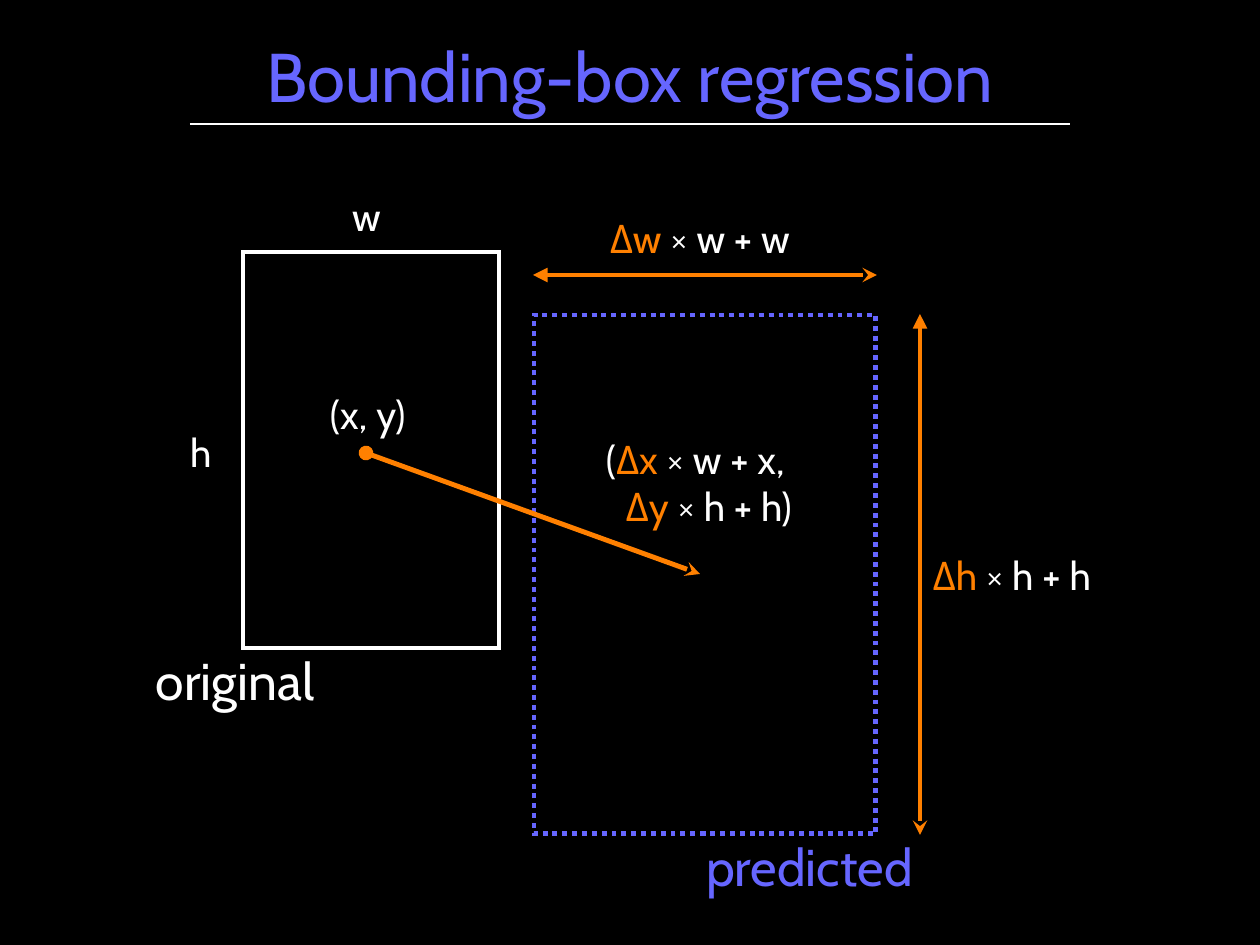
from pptx import Presentation
from pptx.dml.color import RGBColor
from pptx.enum.dml import MSO_LINE
from pptx.enum.shapes import MSO_CONNECTOR, MSO_SHAPE
from pptx.enum.text import MSO_ANCHOR, PP_ALIGN
from pptx.oxml.ns import qn
from pptx.util import Pt
from lxml import etree

PX = 10320  # EMU per px
WIDTH, HEIGHT = 1260, 945
BLACK = RGBColor(0, 0, 0)
WHITE = RGBColor(255, 255, 255)
VIOLET = RGBColor(0x66, 0x66, 0xFF)
ORANGE = RGBColor(0xFF, 0x80, 0)
FONT = "Cabin"


def emu(*lengths):
    return [length * PX for length in lengths]


def label(s, box, lines, size=32, align=PP_ALIGN.LEFT, indents=(0, 0)):
    """Each line is a list of (text, colour) runs."""
    tf = s.shapes.add_textbox(*emu(*box)).text_frame
    tf.word_wrap = True
    tf.vertical_anchor = MSO_ANCHOR.MIDDLE
    tf.margin_left = tf.margin_right = tf.margin_top = tf.margin_bottom = 0
    for i, (runs, indent) in enumerate(zip(lines, indents)):
        p = tf.paragraphs[0] if i == 0 else tf.add_paragraph()
        p.alignment = align
        if indent:
            p._p.get_or_add_pPr().set("marL", str(indent * PX))
        p.font.size = Pt(size)
        p.font.name = FONT
        for text, color in runs:
            r = p.add_run()
            r.text = text
            r.font.color.rgb = color


def line(s, start, end, color, width, head=None, tail=None):
    c = s.shapes.add_connector(MSO_CONNECTOR.STRAIGHT, *emu(*start, *end))
    c.line.color.rgb = color
    c.line.width = Pt(width)
    ln = c.line._get_or_add_ln()
    for tag, kind in (("a:headEnd", head), ("a:tailEnd", tail)):
        if kind:
            etree.SubElement(ln, qn(tag), type=kind)
    etree.SubElement(c._element.spPr, qn("a:effectLst"))


def frame(s, box, color, width, dash=None):
    sp = s.shapes.add_shape(MSO_SHAPE.RECTANGLE, *emu(*box))
    sp.shadow.inherit = False
    sp.fill.background()
    sp.line.color.rgb = color
    sp.line.width = Pt(width)
    if dash:
        sp.line.dash_style = dash
    # Square corners
    etree.SubElement(sp.line._get_or_add_ln(), qn("a:miter"), lim="800000")


def title(s, x, y, w, h):
    label(s, (x, y, w, h), [[("Bounding-box regression", VIOLET)]], 56, PP_ALIGN.CENTER)
    line(s, (x + 67, y + h), (x + w - 67, y + h), WHITE, 1)


def original_box(s, x, y, w, h):
    frame(s, (x, y, w, h), WHITE, 3)
    for text, dx, dy, width in (("w", 109, -66, 40), ("h", -53, 170, 34),
                                ("(x, y)", 87, 132, 90)):
        label(s, (x + dx, y + dy, width, 59), [[(text, WHITE)]])
    label(s, (x - 87, y + h - 5, 180, 74), [[("original", WHITE)]], 42)


def predicted_box(s, x, y, w, h):
    frame(s, (x, y, w, h), VIOLET, 4, MSO_LINE.ROUND_DOT)
    # Width and height arrows with their formulas
    line(s, (x - 1, y - 40), (x + w + 1, y - 40), ORANGE, 4, "triangle", "stealth")
    line(s, (x + w + 44, y - 1), (x + w + 44, y + h + 1), ORANGE, 4, "triangle", "stealth")
    label(s, (x + 76, y - 107, 200, 59), [[("Δw", ORANGE), (" × w + w", WHITE)]])
    label(s, (x + w + 57, y + 230, 180, 59), [[("Δh", ORANGE), (" × h + h", WHITE)]])
    # Shifted centre
    label(s, (x + 72, y + 113, 210, 108),
          [[("(", WHITE), ("Δx", ORANGE), (" × w + x,", WHITE)],
           [("Δy", ORANGE), (" × h + h)", WHITE)]], indents=(0, 20))
    label(s, (x + 172, y + h - 5, 220, 74), [[("predicted", VIOLET)]], 42)


def main():
    prs = Presentation()
    prs.slide_width, prs.slide_height = emu(WIDTH, HEIGHT)
    s = prs.slides.add_slide(prs.slide_layouts[6])
    s.background.fill.solid()
    s.background.fill.fore_color.rgb = BLACK
    title(s, 123, 25, 1014, 99)
    original_box(s, 243, 252, 256, 396)
    predicted_box(s, 534, 315, 342, 519)
    # Shift from the original centre to the predicted one
    line(s, (366, 453), (700, 574), ORANGE, 4, "oval", "stealth")
    prs.save("out.pptx")


if __name__ == "__main__":
    main()
